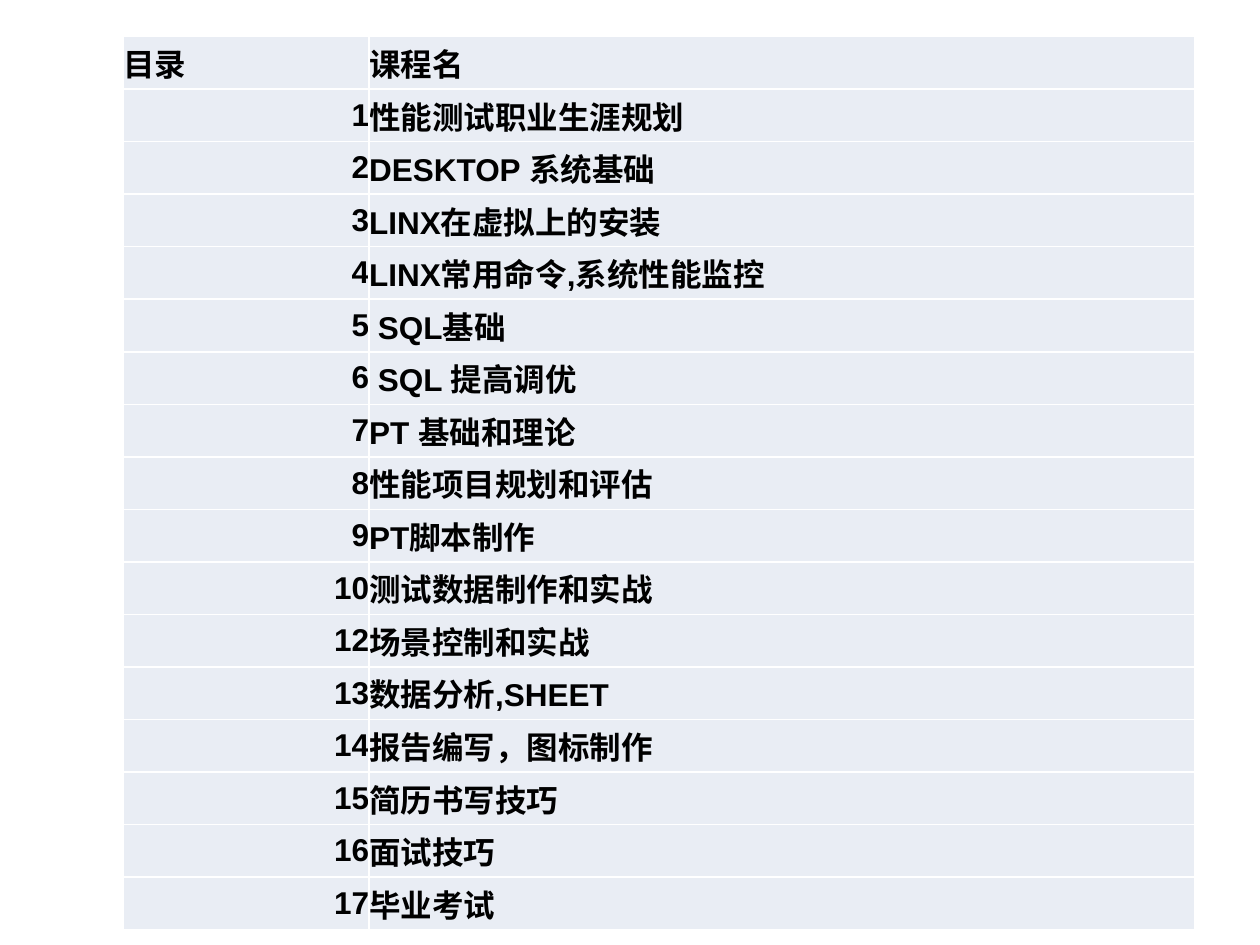
from lxml import etree
from pptx import Presentation
from pptx.dml.color import RGBColor
from pptx.enum.text import MSO_ANCHOR, PP_ALIGN
from pptx.oxml.ns import qn
from pptx.util import Inches, Pt

LEFT, RIGHT = PP_ALIGN.LEFT, PP_ALIGN.RIGHT
MIDDLE = MSO_ANCHOR.MIDDLE
BLACK = RGBColor(0x00, 0x00, 0x00)
WHITE = RGBColor(0xFF, 0xFF, 0xFF)
PALE_BLUE = RGBColor(0xE9, 0xED, 0xF4)

COURSES = [
    ("目录", "课程名"),
    ("1", "性能测试职业生涯规划"),
    ("2", "DESKTOP 系统基础"),
    ("3", "LINX在虚拟上的安装"),
    ("4", "LINX常用命令,系统性能监控"),
    ("5", "SQL基础"),
    ("6", "SQL 提高调优"),
    ("7", "PT 基础和理论"),
    ("8", "性能项目规划和评估"),
    ("9", "PT脚本制作"),
    ("10", "测试数据制作和实战"),
    ("12", "场景控制和实战"),
    ("13", "数据分析,SHEET"),
    ("14", "报告编写，图标制作"),
    ("15", "简历书写技巧"),
    ("16", "面试技巧"),
    ("17", "毕业考试"),
]


def add_borders(cell):
    properties = cell._tc.get_or_add_tcPr()
    for side in ("a:lnL", "a:lnR", "a:lnT", "a:lnB"):
        line = etree.SubElement(properties, qn(side), w=str(Pt(1)))
        fill = etree.SubElement(line, qn("a:solidFill"))
        etree.SubElement(fill, qn("a:srgbClr"), val=str(WHITE))


deck = Presentation()
deck.slide_width, deck.slide_height = Inches(10), Inches(7.5)
page = deck.slides.add_slide(deck.slide_layouts[6])

# Course table
height = Inches(7.09)
table = page.shapes.add_table(len(COURSES), 2, Inches(0.98), Inches(0.29),
                              Inches(8.5), height).table
table.first_row = False
table.horz_banding = False
table.columns[0].width = Inches(1.95)
table.columns[1].width = Inches(6.55)

# Rows of number and course name
for row, course in enumerate(COURSES):
    table.rows[row].height = height // len(COURSES)
    for column, text in enumerate(course):
        cell = table.cell(row, column)
        cell.margin_left = Inches(0.07 if text.startswith("SQL") else 0)
        cell.margin_right = cell.margin_top = cell.margin_bottom = 0
        cell.vertical_anchor = MIDDLE
        add_borders(cell)
        cell.fill.solid()
        cell.fill.fore_color.rgb = PALE_BLUE

        para = cell.text_frame.paragraphs[0]
        para.alignment = RIGHT if row > 0 and column == 0 else LEFT
        span = para.add_run()
        span.text = text
        span.font.name = "Arial"
        span.font.size = Pt(18)
        span.font.bold = True
        span.font.color.rgb = BLACK
        etree.SubElement(span.font._element, qn("a:ea"), typeface="Noto Sans CJK SC")

deck.save("out.pptx")
